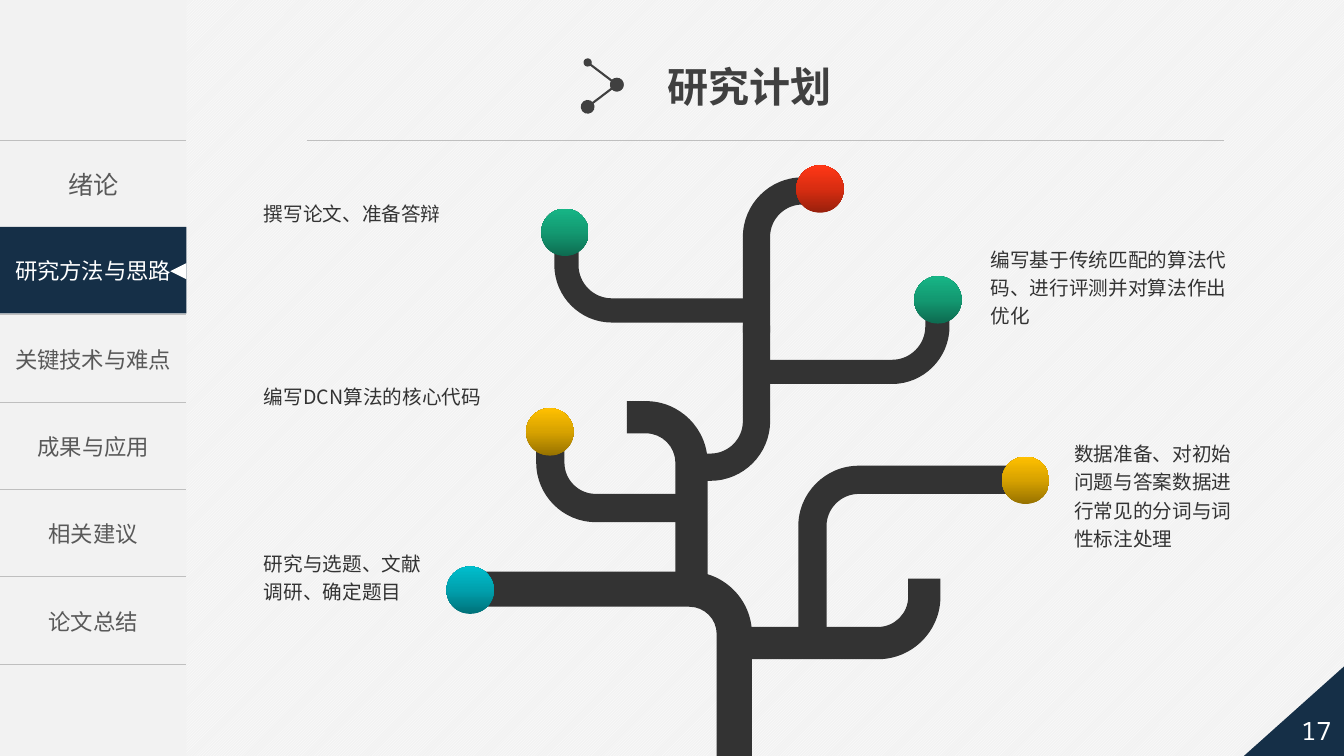
import copy

import lxml.etree
import pptx
import pptx.dml.color
import pptx.enum.dml
import pptx.enum.shapes
import pptx.enum.text
import pptx.oxml.ns
import pptx.util

PX = 9144
BEND = 0.55
COLOURS = {
    "white": "FFFFFF", "paper": "F2F2F2", "rule": "BFBFBF", "navy": "152F47",
    "heading": "404040", "menu": "595959", "tree": "333333",
}
BALL_SHADES = {
    "teal": ("007179", "00A0AD", "00BECD"),
    "amber": ("977200", "D7A200", "FFC000"),
    "green": ("0D6B50", "139971", "17B586"),
    "red": ("98200C", "D82D11", "FF3716"),
}
SANS = "Noto Sans CJK SC"
RGB = pptx.dml.color.RGBColor.from_string
SHAPE = pptx.enum.shapes.MSO_SHAPE
ALIGN = pptx.enum.text.PP_ALIGN
ANCHOR = pptx.enum.text.MSO_ANCHOR
FIT = pptx.enum.text.MSO_AUTO_SIZE.SHAPE_TO_FIT_TEXT
qn = pptx.oxml.ns.qn


def write(frame, text, size, colour, font=SANS, align=ALIGN.LEFT):
    frame.text = text
    para = frame.paragraphs[0]
    para.alignment = align
    span = para.runs[0]
    span.font.size = pptx.util.Pt(size)
    span.font.color.rgb = RGB(COLOURS[colour])
    span.font.name = font
    east_asian = lxml.etree.SubElement(span._r.get_or_add_rPr(), qn("a:ea"))
    east_asian.set("typeface", font)
    return para


def add_plain(kind, left, top, width, height, colour=None):
    shape = page.shapes.add_shape(kind, left * PX, top * PX, width * PX, height * PX)
    shape.shadow.inherit = False
    shape.line.fill.background()
    if colour:
        shape.fill.solid()
        shape.fill.fore_color.rgb = RGB(COLOURS[colour])
    else:
        shape.fill.background()
    return shape


deck = pptx.Presentation()
deck.slide_width = 12192000
deck.slide_height = 750 * PX
page = deck.slides.add_slide(deck.slide_layouts[5])

backdrop = page.background.fill
backdrop.patterned()
backdrop.pattern = pptx.enum.dml.MSO_PATTERN.LIGHT_UPWARD_DIAGONAL
backdrop.fore_color.rgb = RGB(COLOURS["white"])
backdrop.back_color.rgb = RGB(COLOURS["paper"])

add_plain(SHAPE.RECTANGLE, 0, 0, 185, 750, "paper")

chapters = ["绪论", "研究方法与思路", "关键技术与难点", "成果与应用", "相关建议", "论文总结"]
menu = page.shapes.add_table(len(chapters), 1, 0, 139 * PX, 185 * PX, 520 * PX).table
menu.first_row = False
menu.horz_banding = False
for row, chapter in enumerate(chapters):
    cell = menu.cell(row, 0)
    cell.vertical_anchor = ANCHOR.MIDDLE
    write(cell.text_frame, chapter, 16 if row else 18, "menu", align=ALIGN.CENTER)
    properties = cell._tc.get_or_add_tcPr()
    for side in ("L", "R", "T", "B"):
        border = lxml.etree.SubElement(properties, qn("a:ln" + side))
        if side in "LR":
            lxml.etree.SubElement(border, qn("a:noFill"))
        else:
            border.set("w", str(pptx.util.Pt(1)))
            paint = lxml.etree.SubElement(border, qn("a:solidFill"))
            lxml.etree.SubElement(paint, qn("a:srgbClr")).set("val", COLOURS["rule"])
    cell.fill.background()

current = add_plain(SHAPE.RECTANGLE, 0, 225, 185, 86, "navy")
current.text_frame.word_wrap = True
current.text_frame.vertical_anchor = ANCHOR.MIDDLE
write(current.text_frame, chapters[1], 16, "white", align=ALIGN.CENTER)
pointer = add_plain(SHAPE.ISOSCELES_TRIANGLE, 169, 261, 16, 16, "white")
pointer.rotation = 270

corner = add_plain(SHAPE.RIGHT_TRIANGLE, 1233, 658, 104, 93, "navy")
number = add_plain(SHAPE.PENTAGON, 1245, 697, 108, 55)
for flipped in (corner, number):
    flipped._element.spPr.find(qn("a:xfrm")).set("flipH", "1")
number.text_frame.vertical_anchor = ANCHOR.MIDDLE
write(number.text_frame, "17", 18, "white", "Noto Sans Mono", ALIGN.CENTER)

title = page.shapes.title
title.left, title.top, title.width, title.height = 652 * PX, 56 * PX, 185 * PX, 59 * PX
title.text_frame.word_wrap = False
title.text_frame.auto_size = FIT
title.text_frame.vertical_anchor = ANCHOR.TOP
write(title.text_frame, "研究计划", 29.3, "heading", "Arial").runs[0].font.bold = True

for x1, y1, x2, y2, colour, weight, ends in [
    (305, 139, 1214, 139, "rule", 0.5, ()),
    (583, 62, 612, 84, "heading", 1.5, (("a:headEnd", "med"), ("a:tailEnd", "lg"))),
    (612, 84, 583, 106, "heading", 1.5, (("a:headEnd", "lg"), ("a:tailEnd", "lg"))),
]:
    line = page.shapes.add_connector(
        pptx.enum.shapes.MSO_CONNECTOR.STRAIGHT, x1 * PX, y1 * PX, x2 * PX, y2 * PX)
    line.line.color.rgb = RGB(COLOURS[colour])
    line.line.width = pptx.util.Pt(weight)
    for end, size in ends:
        dot = lxml.etree.SubElement(line.line._get_or_add_ln(), qn(end))
        dot.set("type", "oval")
        dot.set("w", size)
        dot.set("len", size)
    lxml.etree.SubElement(line._element.spPr, qn("a:effectLst"))

for corner_x, corner_y, tip_x, tip_y, thickness, radius in [
    (746, 567, 465, 780, 35, 62),
    (933, 654, 729, 574, 32, 62),
    (942, 381, 755, 305, 24, 57),
    (702, 398, 622, 585, 32, 61),
    (792, 462, 1019, 644, 28, 60),
    (550, 320, 746, 243, 24, 57),
    (532, 518, 686, 440, 28, 59),
    (764, 477, 686, 323, 27, 59),
    (737, 176, 815, 330, 27, 59),
]:
    toward_x = 1 if tip_x > corner_x else -1
    toward_y = 1 if tip_y > corner_y else -1
    outer, inner = [
        [(corner_x + toward_x * (radius - reach * across),
          corner_y + toward_y * (radius - reach * along))
         for across, along in ((1, 0), (1, BEND), (BEND, 1), (0, 1))]
        for reach in (radius, radius - thickness)
    ]
    outline = [(corner_x, tip_y), *outer, (tip_x, corner_y),
               (tip_x, corner_y + toward_y * thickness), *reversed(inner),
               (corner_x + toward_x * thickness, tip_y)]
    points = [(round(x * PX), round(y * PX)) for x, y in outline]
    builder = page.shapes.build_freeform(*points[0])
    builder.add_line_segments(points[1:], close=True)
    branch = builder.convert_to_shape()
    segments = branch._element.spPr.findall(".//" + qn("a:lnTo"))
    for first in (1, 7):
        curve = lxml.etree.Element(qn("a:cubicBezTo"))
        segments[first].addprevious(curve)
        for segment in segments[first:first + 3]:
            curve.append(segment[0])
            segment.getparent().remove(segment)
    branch.shadow.inherit = False
    branch.fill.solid()
    branch.fill.fore_color.rgb = RGB(COLOURS["tree"])
    branch.line.fill.background()

for left, top, shade in [
    (443, 562, "teal"), (522, 405, "amber"), (994, 453, "amber"),
    (907, 274, "green"), (537, 207, "green"), (790, 164, "red"),
]:
    ball = add_plain(SHAPE.OVAL, left, top, 47, 47)
    ball.fill.gradient()
    ball.fill.gradient_angle = 90
    stop_list = ball._element.spPr.find(".//" + qn("a:gsLst"))
    stop_list.append(copy.deepcopy(stop_list[0]))
    for step, stop in enumerate(ball.fill.gradient_stops):
        stop.position = step / 2
        stop.color.rgb = RGB(BALL_SHADES[shade][step])

for left, top, width, height, text in [
    (252, 538, 182, 67, "研究与选题、文献调研、确定题目"),
    (252, 372, 263, 36, "编写DCN算法的核心代码"),
    (1056, 429, 178, 123, "数据准备、对初始问题与答案数据进行常见的分词与词性标注处理"),
    (973, 236, 261, 95, "编写基于传统匹配的算法代码、进行评测并对算法作出优化"),
    (252, 191, 276, 36, "撰写论文、准备答辩"),
]:
    box = page.shapes.add_textbox(left * PX, top * PX, width * PX, height * PX)
    box.text_frame.word_wrap = True
    box.text_frame.auto_size = FIT
    write(box.text_frame, text, 14, "tree").line_spacing = 1.2

deck.save("out.pptx")
